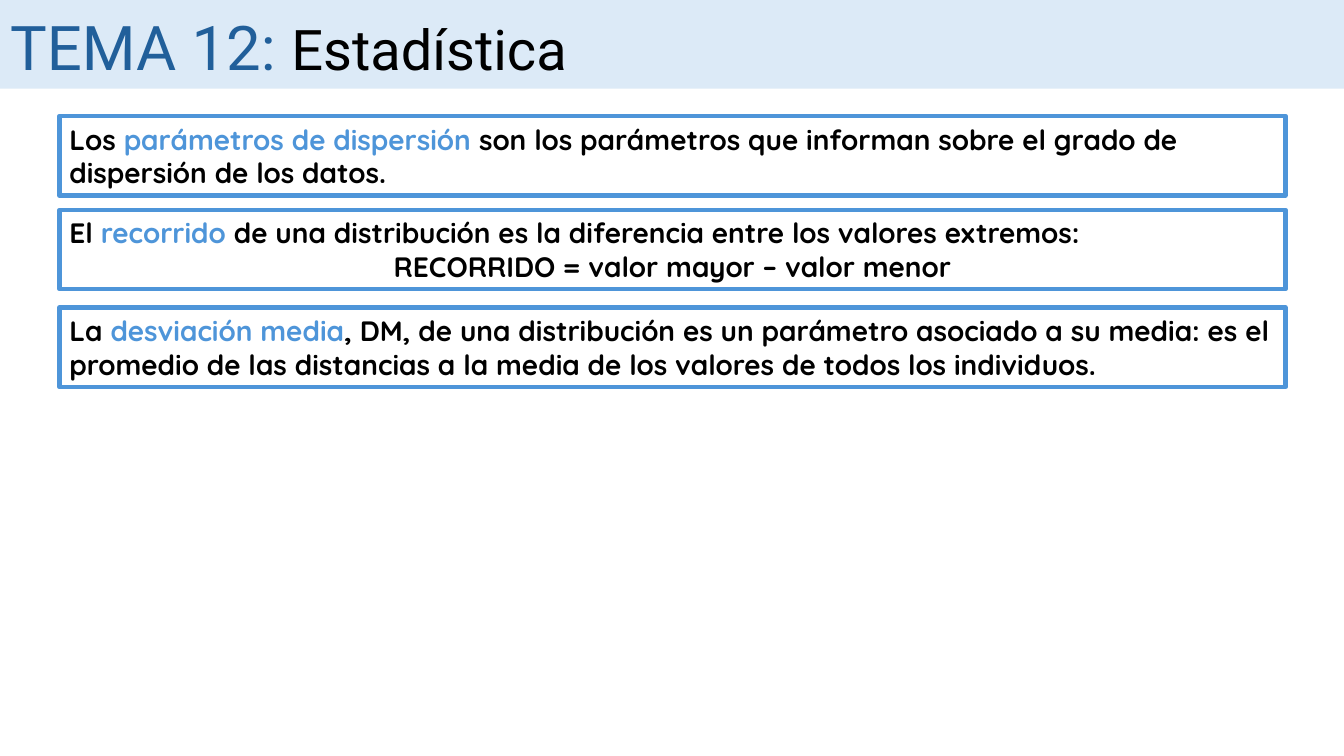
import dataclasses

import pptx
import pptx.dml.color
import pptx.enum.shapes
import pptx.enum.text
import pptx.util

Inches = pptx.util.Inches
Align = pptx.enum.text.PP_ALIGN
Anchor = pptx.enum.text.MSO_ANCHOR


@dataclasses.dataclass(frozen=True)
class Theme:
    band: str = "DCEAF7"
    heading: str = "215F9A"
    accent: str = "4E95D9"
    ink: str = "000000"
    title_font: str = "Roboto"
    body_font: str = "Quicksand"
    topic_size: int = 44
    subject_size: int = 40
    body_size: int = 20
    frame_width: int = 3


class LessonSlide:
    def __init__(self, presentation, theme):
        self.theme = theme
        self.slide = presentation.slides.add_slide(presentation.slide_layouts[5])

    def color(self, value):
        return pptx.dml.color.RGBColor.from_string(value)

    def apply(self, target, formats):
        for name, value in formats.items():
            setattr(target, name, value)

    def add_run(self, paragraph, text, color, formats):
        run = paragraph.add_run()
        run.text = text
        self.apply(run.font, formats)
        run.font.color.rgb = self.color(color)

    def rectangle(self, left, top, width, height):
        shape = self.slide.shapes.add_shape(
            pptx.enum.shapes.MSO_SHAPE.RECTANGLE,
            Inches(left), Inches(top), Inches(width), Inches(height))
        shape.shadow.inherit = False
        return shape

    def title(self, topic, subject):
        title = self.slide.shapes.title
        self.apply(title, {"left": Inches(0), "top": Inches(0.04),
                           "width": Inches(11.85), "height": Inches(0.84)})
        self.apply(title.text_frame, {
            "vertical_anchor": Anchor.TOP, "word_wrap": True,
            "auto_size": pptx.enum.text.MSO_AUTO_SIZE.NONE})
        paragraph = title.text_frame.paragraphs[0]
        paragraph.alignment = Align.LEFT
        for text, size, color in (
                (topic, self.theme.topic_size, self.theme.heading),
                (subject, self.theme.subject_size, self.theme.ink)):
            self.add_run(paragraph, text, color, {
                "name": self.theme.title_font, "size": pptx.util.Pt(size)})

    def band(self, width, height):
        band = self.rectangle(0, 0, width, height)
        band.fill.solid()
        band.fill.fore_color.rgb = self.color(self.theme.band)
        band.line.fill.background()
        self.slide.shapes.title.element.addprevious(band.element)

    def definition(self, top, opening, term, explanation, formula=None):
        frame = self.rectangle(0.59, top, 12.16, 0.79)
        frame.fill.background()
        frame.line.color.rgb = self.color(self.theme.accent)
        frame.line.width = pptx.util.Pt(self.theme.frame_width)
        text_frame = frame.text_frame
        self.apply(text_frame, {"word_wrap": True, "vertical_anchor": Anchor.MIDDLE})
        formats = {"name": self.theme.body_font, "bold": True,
                   "size": pptx.util.Pt(self.theme.body_size)}
        paragraph = text_frame.paragraphs[0]
        paragraph.alignment = Align.LEFT
        for text, color in ((opening, self.theme.ink), (term, self.theme.accent),
                            (explanation, self.theme.ink)):
            self.add_run(paragraph, text, color, formats)
        if formula:
            paragraph = text_frame.add_paragraph()
            paragraph.alignment = Align.CENTER
            self.add_run(paragraph, formula, self.theme.ink, formats)


def main():
    presentation = pptx.Presentation()
    presentation.slide_width = Inches(13.33)
    presentation.slide_height = Inches(7.5)
    lesson = LessonSlide(presentation, Theme())
    lesson.title("TEMA 12: ", "Estadística")
    lesson.band(13.33, 0.88)
    lesson.definition(
        1.15, "Los ", "parámetros de dispersión ",
        "son los parámetros que informan sobre el grado de dispersión de los datos.")
    lesson.definition(
        2.08, "El ", "recorrido",
        " de una distribución es la diferencia entre los valores extremos:",
        "RECORRIDO = valor mayor – valor menor")
    lesson.definition(
        3.05, "La ", "desviación media",
        ", DM, de una distribución es un parámetro asociado a su media: es el "
        "promedio de las distancias a la media de los valores de todos los individuos.")
    presentation.save("out.pptx")


if __name__ == "__main__":
    main()
